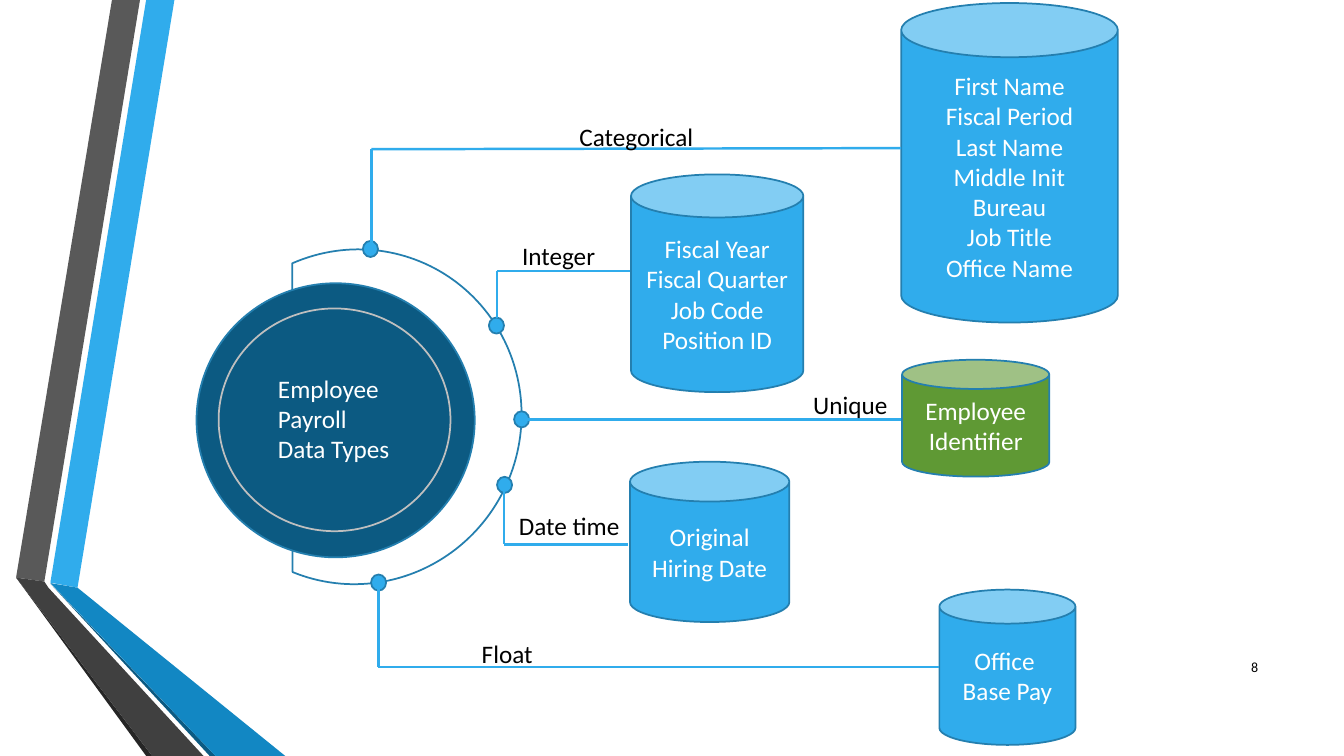
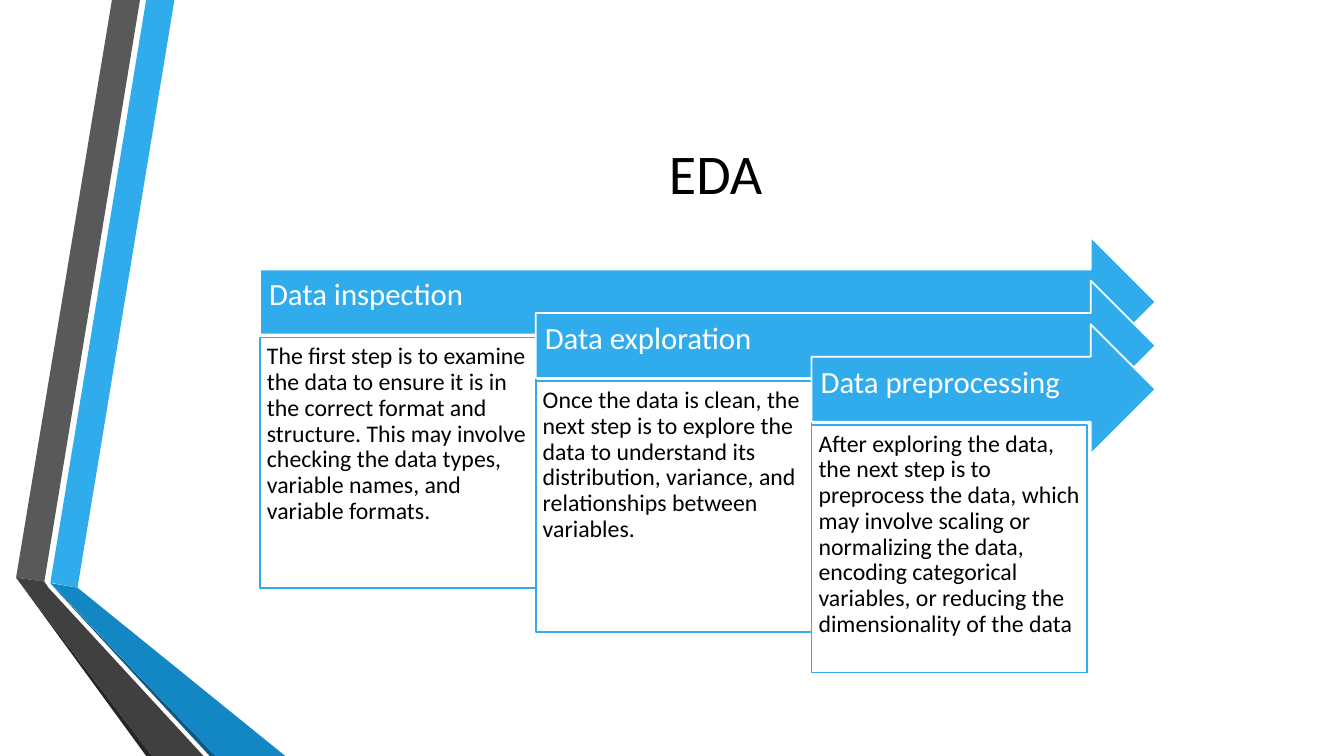
import pptx
import pptx.dml.color
import pptx.enum.shapes
import pptx.enum.text
import pptx.oxml.ns
import pptx.util
from lxml import etree

Pt = pptx.util.Pt
SHAPE = pptx.enum.shapes.MSO_SHAPE
ALIGN = pptx.enum.text.PP_ALIGN
ANCHOR = pptx.enum.text.MSO_ANCHOR

COLOURS = {
    "sky": "30ACEC", "blue": "1287C3", "navy": "0C5A82", "edge": "247FAF",
    "green": "5F9934", "silver": "BFBFBF", "grey": "595959",
    "charcoal": "404040", "soot": "262626", "white": "FFFFFF", "black": "000000",
}
FONT = "Calibri"

# Ribbon down the left side of every page: colour and corner points
RIBBON = [
    ("sky", [(36, 416.2), (55.4, 419.8), (124.6, 0), (104.4, 0)]),
    ("grey", [(100, 0), (80, 0), (11.5, 412.6), (31.7, 415.4)]),
    ("soot", [(11.5, 412.6), (104.4, 540), (108.7, 540)]),
    ("navy", [(36, 416.9), (149.8, 540), (154, 540)]),
    ("blue", [(36, 416.5), (154, 540), (203.8, 540), (55.4, 419.8)]),
    ("charcoal", [(145.4, 540), (34.6, 419.8), (31.7, 415.4), (11.5, 412.6), (108.7, 540)]),
]

# Data types diagram
DOT_SIZE = (10.8, 11.5)
DOTS = [(259.2, 172.1), (349.2, 226.8), (355, 340.6), (265, 410.4), (367.2, 293.8)]
CANS = [
    ((643.7, 2.2, 154.8, 228.2), "sky",
     ["First Name", "Fiscal Period", "Last Name", "Middle Init", "Bureau",
      "Job Title", "Office Name"]),
    ((450.7, 124.6, 123.1, 155.5), "sky",
     ["Fiscal Year", "Fiscal Quarter", "Job Code", "Position ID"]),
    ((671, 421.2, 97.2, 110.9), "sky", ["Office ", "Base Pay"]),
    ((450, 329.8, 113.8, 114.5), "sky", ["Original Hiring Date"]),
    ((644.4, 257, 105.1, 83.5), "green", ["Employee Identifier"]),
]
ROUTES = [
    [(643.7, 105.8), (265.3, 106.6), (265.3, 177.8)],
    [(450, 193.7), (355, 193.7), (355, 226.8)],
    [(372.2, 299.5), (643.7, 299.5)],
    [(360, 346.3), (360, 388.8), (448.6, 388.8)],
    [(270.2, 416.2), (270.2, 476.6), (671, 476.6)],
]
LABELS = [
    ("Categorical", 406.8, 82.8), ("Integer", 365.8, 167.8), ("Unique", 573.8, 274.3),
    ("Date time", 363.6, 360.7), ("Float", 337, 452.2),
]

# Process steps: heading, body, body box height
STEPS = [
    ("Data inspection",
     "The first step is to examine the data to ensure it is in the correct format and "
     "structure. This may involve checking the data types, variable names, and variable "
     "formats.", 179.3),
    ("Data exploration",
     "Once the data is clean, the next step is to explore the data to understand its "
     "distribution, variance, and relationships between variables.", 179.3),
    ("Data preprocessing",
     "After exploring the data, the next step is to preprocess the data, which may involve "
     "scaling or normalizing the data, encoding categorical variables, or reducing the "
     "dimensionality of the data", 177),
]
STEP_LEFT, STEP_TOP = 185.7, 169.2
STEP_ACROSS, STEP_DOWN = 197, 31.2
ARROW_RIGHT, ARROW_HEIGHT, BODY_OFFSET = 825.5, 92.9, 71.8


def colour(name):
    return pptx.dml.color.RGBColor.from_string(COLOURS[name])


def apply(target, values):
    for name, value in values.items():
        setattr(target, name, value)


def write(shape, lines, size=18, ink="black", align=ALIGN.LEFT, anchor=ANCHOR.TOP,
          insets=(7.2, 3.6, 7.2, 3.6), spacing=1.0):
    """Fill a shape with one paragraph per line."""
    frame = shape.text_frame
    left, top, right, bottom = (Pt(inset) for inset in insets)
    apply(frame, {"word_wrap": True, "vertical_anchor": anchor, "margin_left": left,
                  "margin_top": top, "margin_right": right, "margin_bottom": bottom})
    for index, line in enumerate(lines):
        para = frame.add_paragraph() if index else frame.paragraphs[0]
        apply(para, {"alignment": align, "line_spacing": spacing})
        span = para.add_run()
        span.text = line
        apply(span.font, {"name": FONT, "size": Pt(size)})
        span.font.color.rgb = colour(ink)


def paint(shape, fill=None, line=None):
    shape.shadow.inherit = False
    if fill:
        shape.fill.solid()
        shape.fill.fore_color.rgb = colour(fill)
    else:
        shape.fill.background()
    if line:
        shape.line.color.rgb = colour(line)
        shape.line.width = Pt(1.25)
    else:
        shape.line.fill.background()


def add_figure(page, kind, box, fill=None, line="edge"):
    shape = page.shapes.add_shape(kind, *(Pt(length) for length in box))
    paint(shape, fill, line)
    return shape


def add_text(page, box, text, **style):
    write(page.shapes.add_textbox(*(Pt(length) for length in box)), [text], **style)


def add_route(page, points):
    """Join the points with straight connectors."""
    for start, end in zip(points, points[1:]):
        connector = page.shapes.add_connector(
            pptx.enum.shapes.MSO_CONNECTOR.STRAIGHT,
            *(Pt(length) for length in start + end))
        connector.line.color.rgb = colour("sky")
        connector.line.width = Pt(1.75)
        etree.SubElement(connector._element.spPr, pptx.oxml.ns.qn("a:effectLst"))


def add_page(deck):
    """Blank page with the shared ribbon."""
    page = deck.slides.add_slide(deck.slide_layouts[6])
    for fill, points in RIBBON:
        corners = [(Pt(x), Pt(y)) for x, y in points]
        builder = page.shapes.build_freeform(*corners[0])
        builder.add_line_segments(corners[1:], close=True)
        paint(builder.convert_to_shape(), fill)
    return page


def add_hub(page):
    chord = add_figure(page, SHAPE.CHORD, (136.8, 177.8, 235.4, 239.8))
    chord.rotation = 202.3
    add_figure(page, SHAPE.OVAL, (140.4, 202.3, 198.7, 195.8), "navy")
    add_figure(page, SHAPE.OVAL, (156.2, 220.3, 165.6, 159.1), "navy", "silver")
    for dot in DOTS:
        add_figure(page, SHAPE.OVAL, dot + DOT_SIZE, "sky")
    add_text(page, (191.5, 262.8, 98.6, 72.7), "Employee Payroll Data Types", ink="white")


def build_data_types(deck):
    page = add_page(deck)
    add_text(page, (862.6, 462.2, 43.2, 28.8), "8", size=10, align=ALIGN.RIGHT,
             anchor=ANCHOR.MIDDLE)
    add_hub(page)
    for box, fill, lines in CANS:
        can = add_figure(page, SHAPE.CAN, box, fill)
        write(can, lines, ink="white", align=ALIGN.CENTER, anchor=ANCHOR.MIDDLE)
    for points in ROUTES:
        add_route(page, points)
    for text, left, top in LABELS:
        add_text(page, (left, top, 130.3, 28.8), text)


def add_step(page, index, heading, body, height):
    left = STEP_LEFT + index * STEP_ACROSS
    top = STEP_TOP + index * STEP_DOWN
    arrow = add_figure(page, SHAPE.RIGHT_ARROW,
                       (left, top, ARROW_RIGHT - left, ARROW_HEIGHT), "sky", "white")
    write(arrow, [heading], size=22, ink="white", anchor=ANCHOR.MIDDLE,
          insets=(6.5, 6.5, 20.2, 15.1), spacing=0.9)
    panel = add_figure(page, SHAPE.RECTANGLE,
                       (left, top + BODY_OFFSET, STEP_ACROSS, height), "white", "sky")
    write(panel, [body], size=17, insets=(5, 5, 5, 5), spacing=0.9)


def build_eda(deck):
    page = add_page(deck)
    add_text(page, (116.6, 54, 789.1, 138.2), "EDA", size=40, align=ALIGN.CENTER,
             anchor=ANCHOR.MIDDLE)
    for index, step in enumerate(STEPS):
        add_step(page, index, *step)


def main():
    deck = pptx.Presentation()
    apply(deck, {"slide_width": Pt(960), "slide_height": Pt(540)})
    build_data_types(deck)
    build_eda(deck)
    deck.save("out.pptx")


main()
